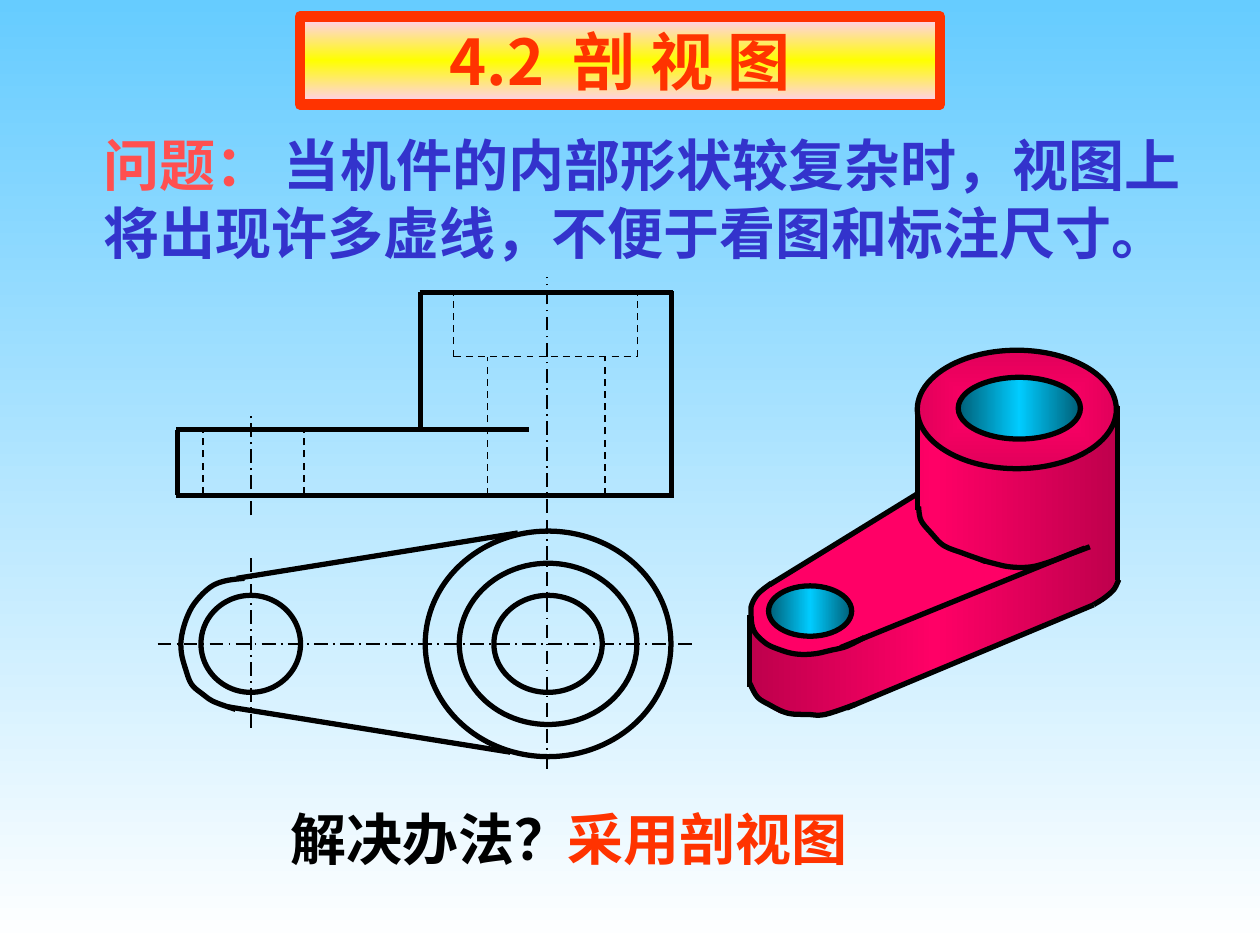
from copy import deepcopy
from dataclasses import dataclass

from lxml import etree
from pptx import Presentation
from pptx.dml.color import RGBColor
from pptx.enum.dml import MSO_LINE
from pptx.enum.shapes import MSO_CONNECTOR, MSO_SHAPE
from pptx.enum.text import MSO_ANCHOR, MSO_AUTO_SIZE, PP_ALIGN
from pptx.oxml.ns import qn
from pptx.util import Inches, Pt

STRAIGHT = MSO_CONNECTOR.STRAIGHT
OVAL = MSO_SHAPE.OVAL
CENTER_LINE = MSO_LINE.LONG_DASH_DOT
HIDDEN_LINE = MSO_LINE.DASH
TOP, MIDDLE = MSO_ANCHOR.TOP, MSO_ANCHOR.MIDDLE
LEFT, CENTER = PP_ALIGN.LEFT, PP_ALIGN.CENTER
FIXED_SIZE = MSO_AUTO_SIZE.NONE
TITLE_ONLY = 5
DOWNWARD, ACROSS = 270, 0


@dataclass(frozen=True)
class Theme:
    """Colours, fonts and sizes of the lesson."""
    sky: tuple = ("66CCFF", "FFFFFF")
    banner: tuple = ("FFCCFF", "FFFF00", "FFCCFF")
    bore: tuple = ("005E76", "00CCFF", "005E76")
    wall: tuple = ("BE004C", "FF0066", "BE004C")
    rim: tuple = ("FF0066", "E1005A")
    plate: str = "FF0066"
    ink: str = "000000"
    accent: str = "FF3300"
    label: str = "FF5050"
    statement: str = "3333CC"
    latin: str = "Times New Roman"
    chinese: str = "Noto Sans CJK SC"
    title_size: int = 36
    text_size: int = 32
    outline: float = 3
    thin: float = 1
    hairline: float = 0.75
    frame: float = 6


class Lesson:
    """Draws styled elements on the current slide."""

    def __init__(self, slide, theme):
        self.slide, self.theme = slide, theme
        self.canvas = slide.shapes

    def start_group(self):
        self.canvas = self.slide.shapes.add_group_shape().shapes

    def gradient(self, fill, colors, angle):
        fill.gradient()
        fill.gradient_angle = angle
        stop_list = fill.gradient_stops[0]._gs.getparent()
        while len(stop_list) < len(colors):
            stop_list.append(deepcopy(stop_list[-1]))
        for index, (stop, color) in enumerate(zip(fill.gradient_stops, colors)):
            stop.color.rgb = RGBColor.from_string(color)
            stop.position = index / (len(colors) - 1)
        return stop_list.getparent()

    def radial_gradient(self, fill, colors):
        gradient = self.gradient(fill, colors, ACROSS)
        gradient.remove(gradient.find(qn("a:lin")))
        spread = etree.SubElement(gradient, qn("a:path"), {"path": "rect"})
        etree.SubElement(spread, qn("a:fillToRect"), dict.fromkeys("ltrb", "50000"))

    def paint(self, shape, fill=None, width=None):
        shape.shadow.inherit = False
        if fill is None:
            shape.fill.background()
        elif isinstance(fill, str):
            shape.fill.solid()
            shape.fill.fore_color.rgb = RGBColor.from_string(fill)
        else:
            self.gradient(shape.fill, fill, ACROSS)
        if width is None:
            shape.line.fill.background()
        else:
            self.stroke(shape.line, width, self.theme.ink)
        return shape

    def stroke(self, line, width, color):
        line.width = Pt(width)
        line.color.rgb = RGBColor.from_string(color)

    def fill_text(self, frame, pieces, font, size, align, anchor):
        frame.auto_size = FIXED_SIZE
        frame.vertical_anchor = anchor
        paragraph = frame.paragraphs[0]
        paragraph.alignment = align
        for words, color in pieces:
            run = paragraph.add_run()
            run.text = words
            run.font.name, run.font.size, run.font.bold = font, Pt(size), True
            run.font.color.rgb = RGBColor.from_string(color)
            etree.SubElement(run._r.get_or_add_rPr(), qn("a:ea"), typeface=self.theme.chinese)

    def title(self, words, left, top, width, height):
        theme, banner = self.theme, self.slide.shapes.title
        banner.left, banner.top = Inches(left), Inches(top)
        banner.width, banner.height = Inches(width), Inches(height)
        self.gradient(banner.fill, theme.banner, DOWNWARD)
        self.stroke(banner.line, theme.frame, theme.accent)
        self.fill_text(banner.text_frame, [(words, theme.accent)], theme.chinese,
                       theme.title_size, CENTER, MIDDLE)

    def text(self, pieces, left, top, width, height, align=CENTER, anchor=MIDDLE, wrap=False):
        box = self.canvas.add_textbox(Inches(left), Inches(top), Inches(width), Inches(height))
        box.text_frame.word_wrap = wrap
        self.fill_text(box.text_frame, pieces, self.theme.latin, self.theme.text_size, align, anchor)

    def line(self, x1, y1, x2, y2, dash=None):
        edge = self.canvas.add_connector(STRAIGHT, Inches(x1), Inches(y1), Inches(x2), Inches(y2))
        self.stroke(edge.line, self.theme.thin if dash else self.theme.outline, self.theme.ink)
        if dash:
            edge.line.dash_style = dash
        etree.SubElement(edge._element.spPr, qn("a:effectLst"))

    def ellipse(self, x, y, width, height, fill=None):
        oval = self.canvas.add_shape(OVAL, Inches(x - width / 2), Inches(y - height / 2),
                                     Inches(width), Inches(height))
        return self.paint(oval, fill, self.theme.outline)

    def outline(self, points, fill=None, width=None, close=True):
        corners = [(Inches(x), Inches(y)) for x, y in points]
        builder = self.canvas.build_freeform(*corners[0])
        builder.add_line_segments(corners[1:], close=close)
        return self.paint(builder.convert_to_shape(), fill, width)

    def curve(self, knots, steps=6):
        padded = [knots[0], *knots, knots[-1]]
        points = [knots[0]]
        for a, b, c, d in zip(padded, padded[1:], padded[2:], padded[3:]):
            for t in (step / steps for step in range(1, steps + 1)):
                points.append(tuple(
                    q + ((r - p) * t + (2 * p - 5 * q + 4 * r - s) * t ** 2
                         + (3 * q - p - 3 * r + s) * t ** 3) / 2
                    for p, q, r, s in zip(a, b, c, d)))
        self.outline(points, width=self.theme.outline, close=False)


def draw_views(lesson):
    """Draw the top view and the front view with hidden lines."""
    hub_x, eye_x, axis_y = 4.35, 1.99, 5.11
    for axis in ((4.34, 4.13, 4.34, 6.13), (1.25, axis_y, 5.5, axis_y),
                 (eye_x, 4.43, eye_x, 5.81), (4.34, 4.07, 4.34, 2.2), (eye_x, 4.09, eye_x, 3.27)):
        lesson.line(*axis, dash=CENTER_LINE)
    for x, width, height in ((hub_x, 1.95, 1.79), (hub_x, 1.41, 1.28),
                             (hub_x, 0.86, 0.77), (eye_x, 0.79, 0.77)):
        lesson.ellipse(x, axis_y, width, height)
    lesson.curve([(1.94, 4.59), (1.79, 4.61), (1.67, 4.66), (1.55, 4.78), (1.48, 4.91),
                  (1.44, 5.06), (1.44, 5.18), (1.47, 5.3), (1.52, 5.43), (1.61, 5.51),
                  (1.7, 5.57), (1.87, 5.63)])
    for edge in ((1.88, 4.59, 4.11, 4.23), (1.81, 5.61, 4.05, 5.97), (1.4, 3.93, 5.35, 3.93),
                 (5.33, 3.94, 5.33, 2.31), (3.34, 3.4, 3.34, 2.32), (3.33, 2.32, 5.34, 2.32),
                 (1.41, 3.93, 1.41, 3.41), (1.4, 3.41, 4.2, 3.41)):
        lesson.line(*edge)
    for x, top, bottom in ((2.41, 3.43, 3.92), (1.61, 3.4, 3.92), (3.6, 2.32, 2.83),
                           (5.06, 2.32, 2.83), (4.8, 2.83, 3.93), (3.87, 2.83, 3.93)):
        lesson.line(x, bottom, x, top, dash=HIDDEN_LINE)
    lesson.line(3.6, 2.83, 5.06, 2.83, dash=HIDDEN_LINE)


def draw_solid(lesson):
    """Draw the pictorial view of the part."""
    theme = lesson.theme
    lesson.outline([(7.27, 3.93), (6.14, 4.62), (6.06, 4.67), (5.96, 4.8), (5.97, 4.93),
                    (6.03, 5.09), (6.2, 5.17), (6.37, 5.19), (6.53, 5.18), (6.62, 5.17),
                    (8.28, 4.48), (8.04, 4.49), (7.81, 4.47), (7.6, 4.38), (7.45, 4.31),
                    (7.35, 4.19), (7.3, 4.09)], theme.plate, theme.hairline)
    lesson.outline([(7.27, 3.27), (7.27, 3.93), (7.3, 4.08), (7.37, 4.24), (7.55, 4.36),
                    (7.73, 4.44), (7.95, 4.49), (8.17, 4.51), (8.45, 4.42), (8.06, 4.58),
                    (6.73, 5.11), (6.56, 5.19), (6.37, 5.19), (6.2, 5.15), (6.05, 5.08),
                    (5.96, 4.94), (5.96, 5.45), (6.02, 5.56), (6.19, 5.66), (6.36, 5.69),
                    (6.54, 5.68), (6.75, 5.61), (8.67, 4.8), (8.76, 4.73), (8.84, 4.67),
                    (8.88, 4.56), (8.88, 3.26), (8.81, 3.42), (8.65, 3.6), (8.41, 3.7),
                    (8.14, 3.73), (7.95, 3.73), (7.75, 3.68), (7.52, 3.6), (7.41, 3.5),
                    (7.34, 3.41)], theme.wall)
    rim = lesson.ellipse(8.07, 3.25, 1.58, 0.94)
    lesson.radial_gradient(rim.fill, theme.rim)
    for edge in ((8.87, 3.22, 8.87, 4.6), (7.28, 3.25, 7.28, 4.05), (6.72, 5.62, 8.68, 4.8),
                 (6.67, 5.14, 8.61, 4.35), (6.11, 4.64, 7.28, 3.92), (5.95, 4.88, 5.95, 5.45)):
        lesson.line(*edge)
    for knots in (
            [(7.29, 4.02), (7.31, 4.13), (7.39, 4.23), (7.49, 4.33), (7.64, 4.39), (7.78, 4.44),
             (7.88, 4.47), (8.02, 4.5), (8.18, 4.5), (8.33, 4.46), (8.49, 4.4), (8.65, 4.34)],
            [(8.88, 4.6), (8.84, 4.68), (8.76, 4.75), (8.68, 4.8)],
            [(5.95, 5.42), (6.01, 5.53), (6.1, 5.59), (6.25, 5.66), (6.41, 5.67), (6.55, 5.67),
             (6.79, 5.59)],
            [(6.12, 4.63), (6.02, 4.71), (5.97, 4.79), (5.96, 4.86), (5.98, 5), (6.07, 5.1),
             (6.17, 5.15), (6.31, 5.19), (6.46, 5.19), (6.6, 5.16), (6.72, 5.13), (6.86, 5.06)]):
        lesson.curve(knots)
    lesson.ellipse(6.43, 4.85, 0.66, 0.4, theme.bore)
    lesson.ellipse(8.09, 3.24, 0.97, 0.49, theme.bore)


def main():
    """Build the lesson slide."""
    deck = Presentation()
    deck.slide_width, deck.slide_height = Inches(10), Inches(7.5)
    theme = Theme()
    lesson = Lesson(deck.slides.add_slide(deck.slide_layouts[TITLE_ONLY]), theme)
    lesson.gradient(lesson.slide.background.fill, theme.sky, DOWNWARD)
    lesson.title("4.2  剖 视 图", 2.38, 0.13, 5.08, 0.7)
    lesson.text([("问题： ", theme.label),
                 ("当机件的内部形状较复杂时，视图上将出现许多虚线，不便于看图和标注尺寸。", theme.statement)],
                0.72, 0.99, 9.17, 1.17, LEFT, TOP, True)
    lesson.text([("解决办法？", theme.ink)], 2.21, 6.33, 2.42, 0.64)
    lesson.text([("采用剖视图", theme.accent)], 4.41, 6.33, 2.42, 0.64)
    lesson.start_group()
    draw_views(lesson)
    lesson.start_group()
    draw_solid(lesson)
    deck.save("out.pptx")


if __name__ == "__main__":
    main()
